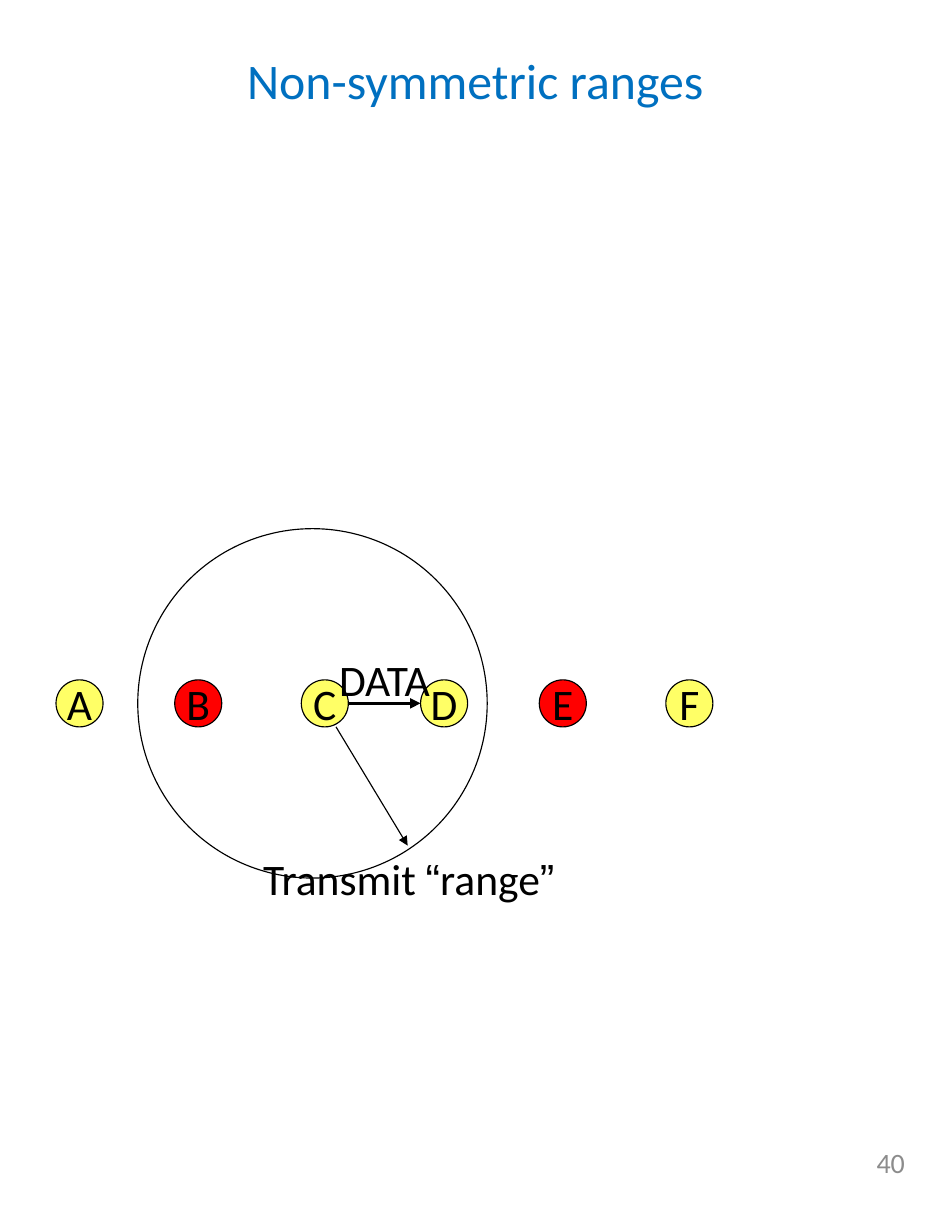
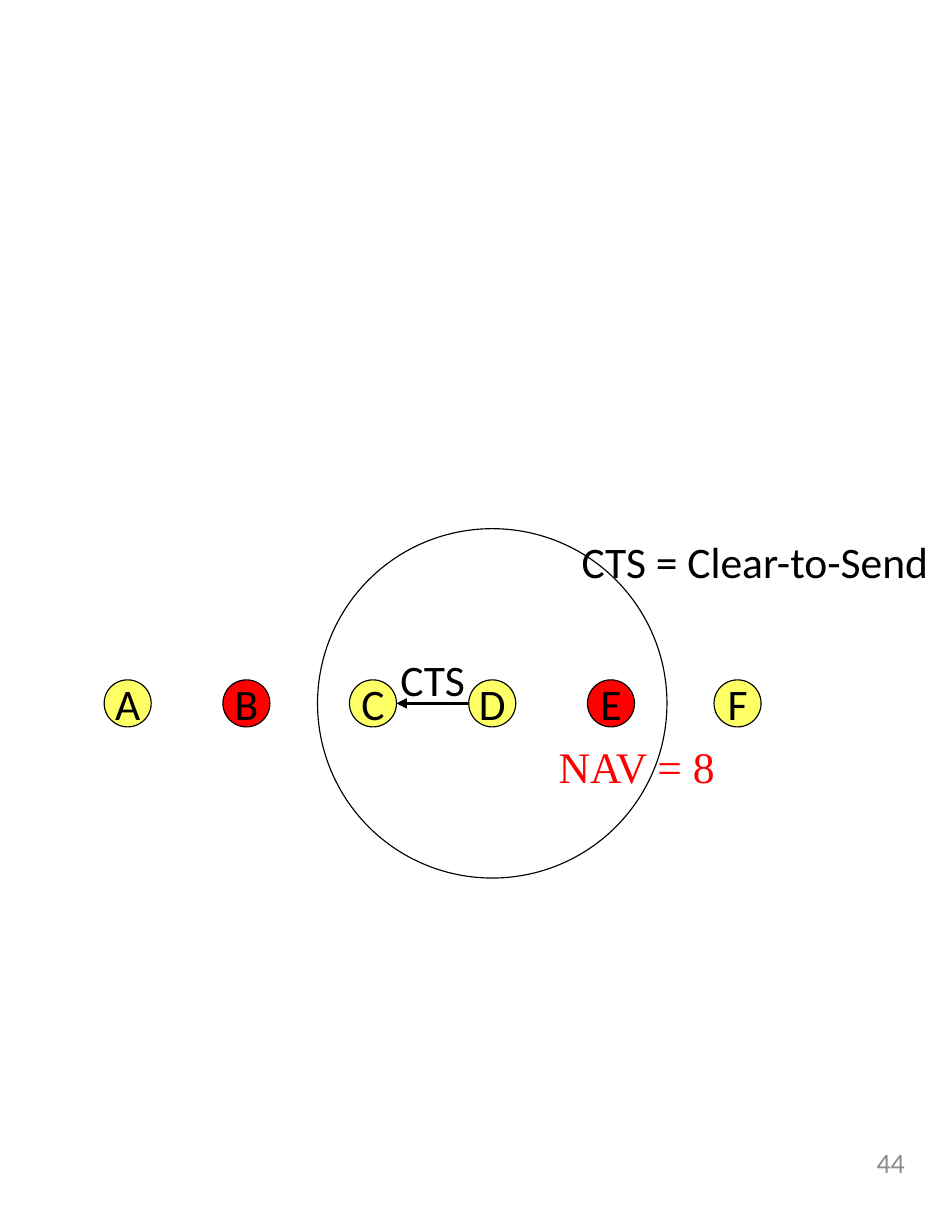
from lxml import etree
from pptx import Presentation
from pptx.dml.color import RGBColor
from pptx.enum.shapes import MSO_CONNECTOR, MSO_SHAPE
from pptx.enum.text import MSO_ANCHOR, PP_ALIGN
from pptx.oxml.ns import qn
from pptx.util import Inches, Pt

OVAL = MSO_SHAPE.OVAL
LINE = MSO_CONNECTOR.STRAIGHT
LEFT, MID, RIGHT = PP_ALIGN.LEFT, PP_ALIGN.CENTER, PP_ALIGN.RIGHT
TOP, CORE = MSO_ANCHOR.TOP, MSO_ANCHOR.MIDDLE

# Page grid of square cells
COLS, ROWS = 85, 110
WIDE, HIGH = Inches(8.5), Inches(11)

# Shared style
BLACK, RED, YELLOW = "000000", "FF0000", "FFFF66"
BLUE, GREY = "0070C0", "8C8C8C"
SANS, PLAIN, SERIF = "Calibri", "Arial", "Times New Roman"

# Row of stations: the three-step pattern of gaps repeats
NAMES = "ABCDEF"
STEPS, CYCLE = (0, 10.6, 21.9), 32.55
NODE, RING = 4.2, 31.2
AXIS = 62.8
BUSY = "BE"


def color(code):
    return RGBColor.from_string(code)


def write(frame, text, size=28, font=SANS, ink=BLACK, align=MID,
          anchor=TOP, wrap=False, inset=True):
    """Fill a frame with one paragraph; text is a string or (text, font) pairs."""
    frame.word_wrap = wrap
    frame.vertical_anchor = anchor
    if not inset:
        frame.margin_left = frame.margin_right = 0
        frame.margin_top = frame.margin_bottom = 0
    para = frame.paragraphs[0]
    para.alignment = align
    parts = [(text, font)] if isinstance(text, str) else text
    for words, face in parts:
        run = para.add_run()
        run.text = words
        run.font.name = face
        run.font.size = Pt(size)
        run.font.color.rgb = color(ink)


class Deck:
    def __init__(self):
        self.prs = Presentation()
        self.prs.slide_width, self.prs.slide_height = WIDE, HIGH
        self.slide = None

    def grid(self, x, y):
        return round(WIDE * x / COLS), round(HIGH * y / ROWS)

    def page(self, number):
        self.slide = self.prs.slides.add_slide(self.prs.slide_layouts[6])
        self.text(number, 61.2, 102.3, 19.6, 5.5, size=18, ink=GREY,
                  align=RIGHT, wrap=True, inset=False)

    def title(self, text):
        self.text(text, 4.2, 4.4, 76.5, 5.4, size=32, ink=BLUE,
                  wrap=True, inset=False)

    def text(self, text, x, y, w, h=5.7, **style):
        box = self.slide.shapes.add_textbox(*self.grid(x, y), *self.grid(w, h))
        write(box.text_frame, text, **style)

    def circle(self, x, size, fill=None):
        """Draw a circle centred on the axis at column x."""
        shape = self.slide.shapes.add_shape(
            OVAL, *self.grid(x - size / 2, AXIS - size / 2),
            *self.grid(size, size))
        shape.shadow.inherit = False
        shape.line.color.rgb = color(BLACK)
        shape.line.width = Pt(0.75)
        if fill:
            shape.fill.solid()
            shape.fill.fore_color.rgb = color(fill)
        else:
            shape.fill.background()
        return shape

    def nodes(self, start):
        """Draw the stations and return their centres by name."""
        spots = {}
        for i, name in enumerate(NAMES):
            turn, step = divmod(i, len(STEPS))
            spots[name] = start + turn * CYCLE + STEPS[step]
            dot = self.circle(spots[name], NODE, RED if name in BUSY else YELLOW)
            write(dot.text_frame, name, anchor=CORE)
        return spots

    def arrow(self, x1, y1, x2, y2, width=0.75):
        line = self.slide.shapes.add_connector(
            LINE, *self.grid(x1, y1), *self.grid(x2, y2))
        line.line.color.rgb = color(BLACK)
        line.line.width = Pt(width)
        stroke = line.line._get_or_add_ln()
        etree.SubElement(stroke, qn("a:tailEnd"), type="triangle")
        etree.SubElement(line._element.spPr, qn("a:effectLst"))

    def send(self, spots, source, target, text, w):
        """Draw a labelled message between two neighbouring stations."""
        a, b = spots[source], spots[target]
        edge = NODE / 2 if b > a else -NODE / 2
        self.arrow(a + edge, AXIS, b - edge, AXIS, width=2.25)
        self.text(text, (a + b - w) / 2, 57.8, w)


def main():
    deck = Deck()

    # Data sent within the transmit range
    deck.page("40")
    deck.title("Non-symmetric ranges")
    spots = deck.nodes(7.1)
    deck.send(spots, "C", "D", "DATA", 10.2)
    deck.circle(27.9, RING)
    deck.arrow(30, 64.9, 36.4, 75.5)
    deck.text([("Transmit ", SANS), ("“", PLAIN), ("range", SANS), ("”", PLAIN)],
              21.7, 75.6, 29.6)

    # Clear-to-send reply
    deck.page("44")
    spots = deck.nodes(11.4)
    deck.circle(spots["D"], RING)
    deck.send(spots, "D", "C", "CTS", 7.8)
    deck.text("CTS = Clear-to-Send", 50.7, 47.3, 33.4)
    deck.text("NAV = 8", 48.9, 65.6, 16.1, font=SERIF, ink=RED,
              align=LEFT, wrap=True)

    deck.prs.save("out.pptx")


if __name__ == "__main__":
    main()
